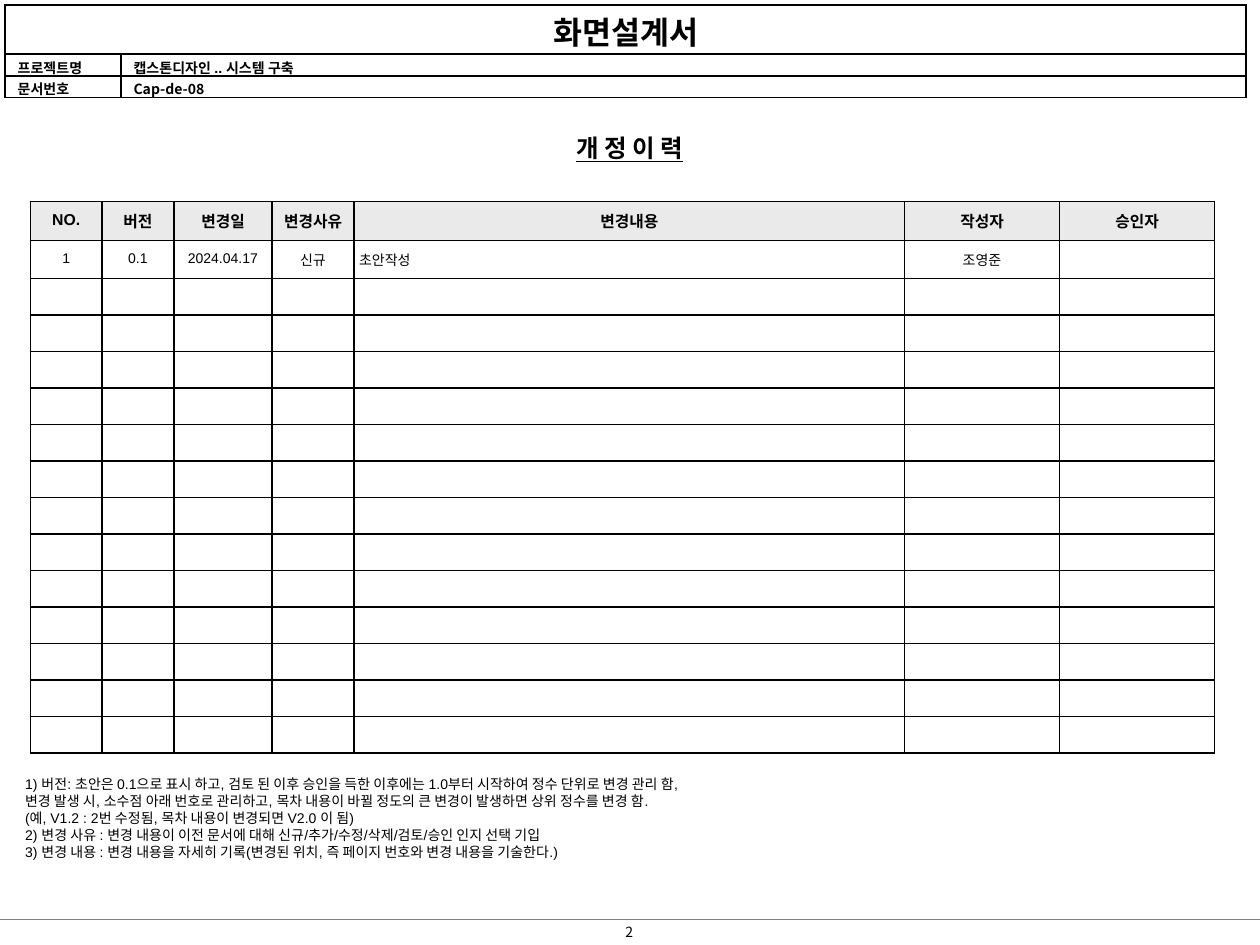
from lxml import etree
from pptx import Presentation
from pptx.dml.color import RGBColor
from pptx.enum import shapes, text
from pptx.oxml import ns
from pptx.util import Inches, Pt

COLORS = {"ink": "000000", "paper": "FFFFFF", "head": "EAEAEA", "rule": "808080"}
LEFT, CENTER = text.PP_ALIGN.LEFT, text.PP_ALIGN.CENTER
KOREAN = "Noto Sans CJK KR"


def write(p, words, size, align=LEFT, bold=False, font="Arial"):
    p.alignment = align
    p.font.size = Pt(size)
    p.font.name = font
    p.font.bold = bold
    p.font.color.rgb = RGBColor.from_string(COLORS["ink"])
    if words:
        p.add_run().text = words
    else:
        # An empty paragraph takes its height from its end mark
        etree.SubElement(p._p, ns.qn("a:endParaRPr"), sz=str(size * 100))


def style_cell(cell, fill, margins, anchor):
    """Set thin borders, fill, margins (left, top, right, bottom) and anchor."""
    tcPr = cell._tc.get_or_add_tcPr()
    for side in ("lnL", "lnR", "lnT", "lnB"):
        ln = etree.SubElement(tcPr, ns.qn(f"a:{side}"), w=str(Pt(1)))
        solid = etree.SubElement(ln, ns.qn("a:solidFill"))
        etree.SubElement(solid, ns.qn("a:srgbClr"), val=COLORS["ink"])
    cell.fill.solid()
    cell.fill.fore_color.rgb = RGBColor.from_string(COLORS[fill])
    (cell.margin_left, cell.margin_top,
     cell.margin_right, cell.margin_bottom) = map(Inches, margins)
    cell.vertical_anchor = anchor


prs = Presentation()
prs.slide_width, prs.slide_height = Inches(10), Inches(7.5)
s = prs.slides.add_slide(prs.slide_layouts[6])

# Footer rule and page number
rule = s.shapes.add_connector(shapes.MSO_CONNECTOR.STRAIGHT,
                              Inches(0), Inches(7.3), Inches(10), Inches(7.3))
rule.line.color.rgb = RGBColor.from_string(COLORS["rule"])
rule.line.width = Pt(0.75)
etree.SubElement(rule._element.spPr, ns.qn("a:effectLst"))

# Text boxes: left, top, width, height, lines, size, alignment, bold, font
notes = [
    "1) 버전: 초안은 0.1으로 표시 하고, 검토 된 이후 승인을 득한 이후에는 1.0부터 시작하여 정수 단위로 변경 관리 함,",
    "변경 발생 시, 소수점 아래 번호로 관리하고, 목차 내용이 바뀔 정도의 큰 변경이 발생하면 상위 정수를 변경 함.",
    "(예, V1.2 : 2번 수정됨, 목차 내용이 변경되면 V2.0 이 됨)",
    "2) 변경 사유 : 변경 내용이 이전 문서에 대해 신규/추가/수정/삭제/검토/승인 인지 선택 기입",
    "3) 변경 내용 : 변경 내용을 자세히 기록(변경된 위치, 즉 페이지 번호와 변경 내용을 기술한다.)",
]
boxes = [
    (4.72, 7.28, 0.55, 0.24, ["2"], 8, CENTER, False, KOREAN),
    (0, 1.01, 10, 0.34, ["개 정 이 력"], 14, CENTER, True, "Arial"),
    (0.1, 6.11, 9.01, 0.77, notes, 8, LEFT, False, "Arial"),
]
for left, top, width, height, lines, size, align, bold, font in boxes:
    sp = s.shapes.add_textbox(Inches(left), Inches(top), Inches(width), Inches(height))
    tf = sp.text_frame
    tf.word_wrap = True
    for i, line in enumerate(lines):
        p = tf.add_paragraph() if i else tf.paragraphs[0]
        write(p, line, size, align, bold, font)
        p.font.underline = bold  # only the heading is bold

# Document header
header_rows = [("화면설계서", ""), ("프로젝트명", "캡스톤디자인 .. 시스템 구축"),
               ("문서번호", "Cap-de-08")]
header = s.shapes.add_table(3, 2, Inches(0.04), Inches(0.04),
                            Inches(9.85), Inches(0.73)).table
header.first_row = header.horz_banding = False
for col, width in zip(header.columns, (0.92, 8.93)):
    col.width = Inches(width)
for r, (row, height) in enumerate(zip(header_rows, (0.39, 0.17, 0.17))):
    header.rows[r].height = Inches(height)
    for c, words in enumerate(row):
        cell = header.cell(r, c)
        style_cell(cell, "paper", (0.1, 0.02, 0.1, 0.02), text.MSO_ANCHOR.TOP)
        write(cell.text_frame.paragraphs[0], words, 8 if r else 18,
              LEFT if r else CENTER, True,
              KOREAN if r == 0 or words == "Cap-de-08" else "Arial")
header.cell(0, 0).merge(header.cell(0, 1))

# Revision history
widths = [0.57, 0.57, 0.78, 0.65, 4.37, 1.23, 1.23]
heights = [0.31, 0.3] + [0.29] * 13
entries = [
    ["NO.", "버전", "변경일", "변경사유", "변경내용", "작성자", "승인자"],
    ["1", "0.1", "2024.04.17", "신규", "초안작성", "조영준", ""],
]
entries += [[""] * len(widths)] * (len(heights) - len(entries))
history = s.shapes.add_table(len(heights), len(widths), Inches(0.24), Inches(1.6),
                             Inches(sum(widths)), Inches(sum(heights))).table
history.horz_banding = False
for col, width in zip(history.columns, widths):
    col.width = Inches(width)
for r, (row, height) in enumerate(zip(entries, heights)):
    history.rows[r].height = Inches(height)
    for c, words in enumerate(row):
        cell = history.cell(r, c)
        style_cell(cell, "paper" if r else "head", (0.04, 0, 0.04, 0.01),
                   text.MSO_ANCHOR.MIDDLE)
        write(cell.text_frame.paragraphs[0], words, 8 if r else 9,
              LEFT if r and c == 4 else CENTER, r == 0)

prs.save("out.pptx")
